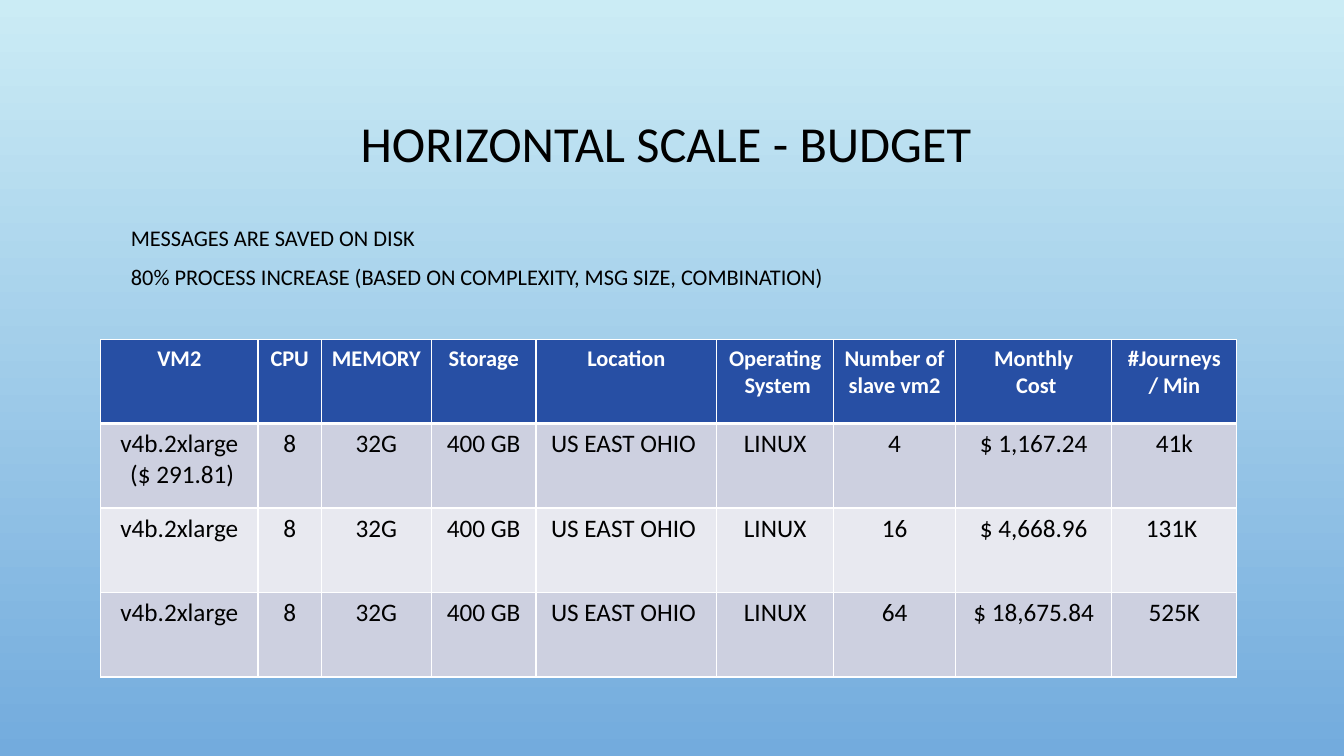
from lxml import etree
from pptx import Presentation
from pptx import util as u
from pptx.dml.color import RGBColor
from pptx.enum import text
from pptx.oxml.ns import qn

BLACK = RGBColor(0x00, 0x00, 0x00)
WHITE = RGBColor(0xFF, 0xFF, 0xFF)
SKY_TOP = RGBColor(0xCB, 0xEC, 0xF5)
SKY_BOTTOM = RGBColor(0x73, 0xAB, 0xDD)
HEADER_BLUE = RGBColor(0x27, 0x4F, 0xA4)
BAND_DARK = RGBColor(0xCD, 0xD0, 0xE0)
BAND_LIGHT = RGBColor(0xE8, 0xE9, 0xF0)
FONT = "Calibri"

HEADERS = ["VM2", "CPU", "MEMORY", "Storage", "Location", "Operating\n System",
           "Number of\nslave vm2", "Monthly\n Cost", "#Journeys\n/ Min"]
COMMON = ["8", "32G", "400 GB", "US EAST OHIO ", "LINUX"]
PLANS = [
    ("v4b.2xlarge\n ($ 291.81)", "4", "$ 1,167.24", "41k"),
    ("v4b.2xlarge", "16", "$ 4,668.96", "131K "),
    ("v4b.2xlarge", "64", "$ 18,675.84", "525K"),
]
COL_WIDTHS = [3.96, 1.6, 2.77, 2.64, 4.55, 2.95, 3.07, 3.94, 3.15]
HEADER_HEIGHT, ROW_HEIGHT = 2.11, 2.13


def style(p, size, color, bold=False, align=text.PP_ALIGN.LEFT):
    p.alignment = align
    p.font.name = FONT
    p.font.size = u.Pt(size)
    p.font.bold = bold
    p.font.color.rgb = color


def set_background(s):
    fill = s.background.fill
    fill.gradient()
    fill.gradient_angle = 270
    for stop, color, position in zip(fill.gradient_stops, (SKY_TOP, SKY_BOTTOM), (0, 1)):
        stop.color.rgb = color
        stop.position = position


def set_title(s, title):
    sp = s.shapes.title
    sp.left, sp.top, sp.width, sp.height = u.Cm(2.54), u.Cm(1.73), u.Cm(28.78), u.Cm(3.91)
    tf = sp.text_frame
    tf.text = title
    tf.vertical_anchor = text.MSO_ANCHOR.MIDDLE
    p = tf.paragraphs[0]
    p.line_spacing = 0.9
    style(p, 36, BLACK, align=text.PP_ALIGN.CENTER)


def add_notes_box(s, lines):
    sp = s.shapes.add_textbox(u.Cm(1.78), u.Cm(5.38), u.Cm(28.32), u.Cm(2.51))
    tf = sp.text_frame
    tf.word_wrap = True
    tf.margin_left = u.Cm(1.52)
    tf.text = "\n".join(lines)
    for p in tf.paragraphs:
        p.line_spacing = 1.2
        p.space_before = u.Pt(5)
        style(p, 16, BLACK)


def set_borders(cell, top, bottom):
    tcPr = cell._tc.get_or_add_tcPr()
    for side, width in (("L", 1), ("R", 1), ("T", top), ("B", bottom)):
        ln = etree.SubElement(tcPr, qn(f"a:ln{side}"), w=str(u.Pt(width)))
        fill = etree.SubElement(ln, qn("a:solidFill"))
        etree.SubElement(fill, qn("a:srgbClr"), val=str(WHITE))


def fill_cell(cell, value, row):
    header = row == 0
    set_borders(cell, 3 if row == 1 else 1, 3 if header else 1)
    cell.fill.solid()
    cell.fill.fore_color.rgb = HEADER_BLUE if header else BAND_DARK if row % 2 else BAND_LIGHT
    cell.text = value
    for p in cell.text_frame.paragraphs:
        style(p, 16 if header else 18, WHITE if header else BLACK, header,
              text.PP_ALIGN.CENTER)


def add_budget_table(s):
    rows = [HEADERS] + [[name, *COMMON, *figures] for name, *figures in PLANS]
    heights = [HEADER_HEIGHT] + [ROW_HEIGHT] * len(PLANS)
    table = s.shapes.add_table(len(rows), len(HEADERS), u.Cm(2.54), u.Cm(8.56),
                               u.Cm(sum(COL_WIDTHS)), u.Cm(sum(heights))).table
    for column, width in zip(table.columns, COL_WIDTHS):
        column.width = u.Cm(width)
    for r, values in enumerate(rows):
        table.rows[r].height = u.Cm(heights[r])
        for c, value in enumerate(values):
            fill_cell(table.cell(r, c), value, r)


def main():
    prs = Presentation()
    prs.slide_width, prs.slide_height = u.Cm(33.87), u.Cm(19.05)
    s = prs.slides.add_slide(prs.slide_layouts[5])
    set_background(s)
    set_title(s, "HORIZONTAL SCALE - BUDGET ")
    add_notes_box(s, ["MESSAGES ARE SAVED ON DISK",
                      "80% PROCESS INCREASE (BASED ON COMPLEXITY, MSG SIZE, COMBINATION)"])
    add_budget_table(s)
    prs.save("out.pptx")


if __name__ == "__main__":
    main()
